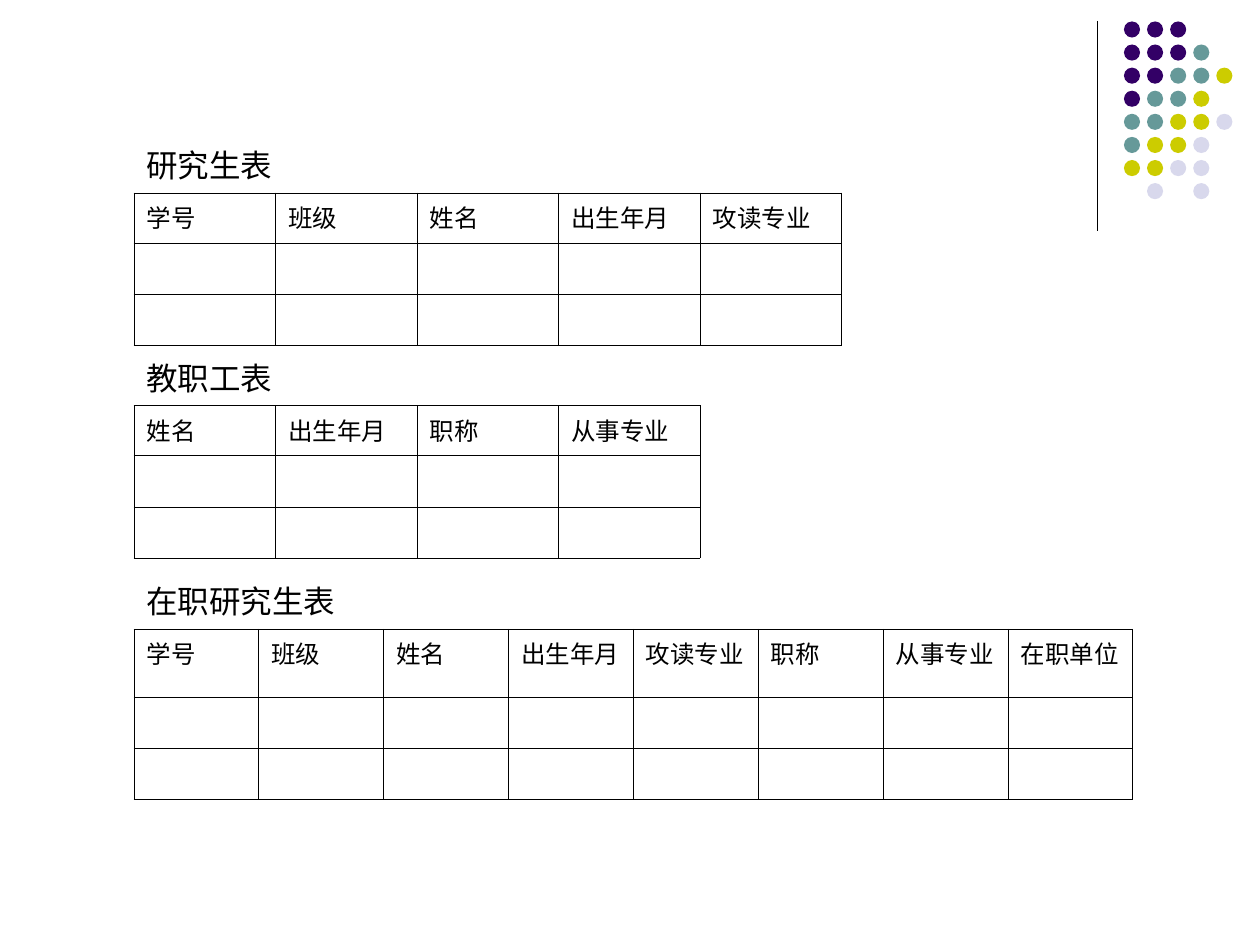
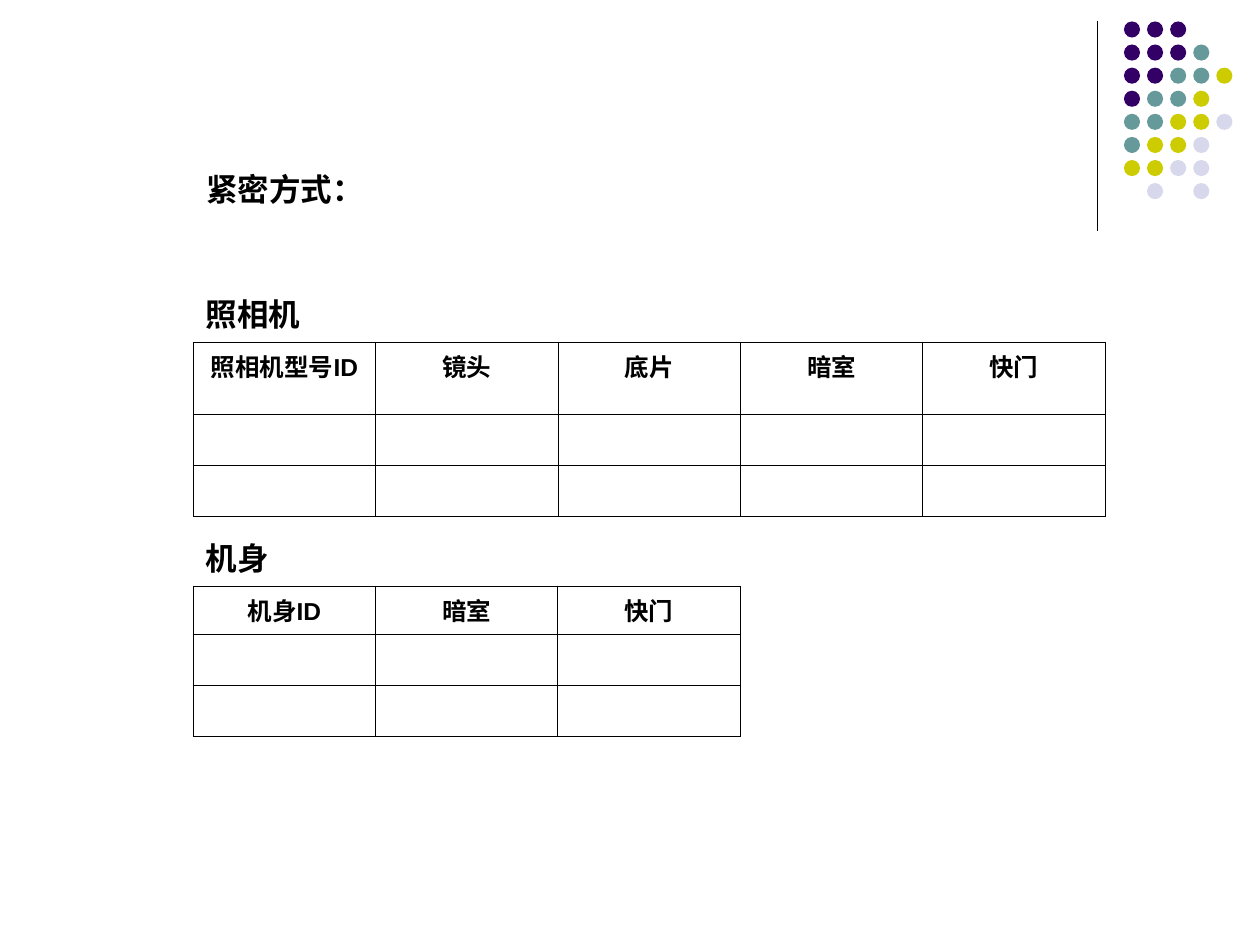
from dataclasses import dataclass

from lxml.etree import SubElement
from pptx import Presentation
from pptx.dml.color import RGBColor
from pptx.enum.shapes import MSO_CONNECTOR, MSO_SHAPE
from pptx.enum.text import MSO_AUTO_SIZE, PP_ALIGN
from pptx.oxml.ns import qn
from pptx.slide import Slide
from pptx.table import _Cell
from pptx.text.text import _Paragraph
from pptx.util import Pt

COLORS = {
    "ink": "000000",
    "paper": "FFFFFF",
    "P": "330066",
    "T": "669999",
    "Y": "CCCC00",
    "L": "D8D8EC",
}
FONT = "Arial"
CAPTION_SIZE, HEADER_SIZE = 18, 14
ROW_HEIGHT = 28.8
BORDER_WIDTH = 0.45

# Each letter is a dot colour; a full stop is a gap.
DOT_ROWS = ["PPP", "PPPT", "PPTTY", "PTTY", "TTYYL", "TYYL", "YYLL", ".L.L"]
DOT_LEFT, DOT_TOP, DOT_PITCH, DOT_SIZE = 642.24, 12.24, 13.2, 9.2


@dataclass(frozen=True)
class RelationTable:
    caption: str
    headers: list[str]
    left: float
    top: float
    column_width: float
    header_height: float = ROW_HEIGHT
    caption_span: int = 1
    emphasized: bool = False


STUDENT_TABLES = [
    RelationTable("研究生表", ["学号", "班级", "姓名", "出生年月", "攻读专业"],
                  76.5, 77, 80.9, caption_span=5),
    RelationTable("教职工表", ["姓名", "出生年月", "职称", "从事专业"],
                  76.5, 198.4, 80.9, caption_span=4),
    RelationTable("在职研究生表",
                  ["学号", "班级", "姓名", "出生年月", "攻读专业", "职称", "从事专业", "在职单位"],
                  76.5, 326.2, 71.35, header_height=38.8, caption_span=5),
]
CAMERA_TABLES = [
    RelationTable("照相机", ["照相机型号ID", "镜头", "底片", "暗室", "快门"],
                  110.4, 162.2, 104.25, header_height=41.1, caption_span=5, emphasized=True),
    RelationTable("机身", ["机身ID", "暗室", "快门"],
                  110.4, 301.6, 104.2, header_height=24.5, emphasized=True),
]


def color(name: str) -> RGBColor:
    return RGBColor.from_string(COLORS[name])


def add_text(paragraph: _Paragraph, text: str, size: float, bold: bool) -> None:
    run = paragraph.add_run()
    run.text = text
    run.font.name = FONT
    run.font.size = Pt(size)
    run.font.bold = bold
    run.font.color.rgb = color("ink")


def set_borders(cell: _Cell, visible_sides: str) -> None:
    """Line the sides named by letters of LRTB and clear the others."""
    properties = cell._tc.get_or_add_tcPr()
    for side in "LRTB":
        line = SubElement(properties, qn(f"a:ln{side}"), w=str(int(Pt(BORDER_WIDTH))))
        if side in visible_sides:
            fill = SubElement(line, qn("a:solidFill"))
            SubElement(fill, qn("a:srgbClr"), val=COLORS["ink"])
        else:
            SubElement(line, qn("a:noFill"))


def add_relation(slide: Slide, relation: RelationTable) -> None:
    """Draw a captioned table with a header row and two empty rows."""
    heights = [ROW_HEIGHT, relation.header_height, ROW_HEIGHT, ROW_HEIGHT]
    count = len(relation.headers)
    frame = slide.shapes.add_table(
        len(heights), count, Pt(relation.left), Pt(relation.top),
        Pt(relation.column_width * count), Pt(sum(heights)))
    table = frame.table
    table.first_row = table.horz_banding = False
    for column in table.columns:
        column.width = Pt(relation.column_width)
    for index, height in enumerate(heights):
        table.rows[index].height = Pt(height)
        for cell in table.rows[index].cells:
            set_borders(cell, "LRTB" if index else "B")
            cell.fill.background()

    if relation.caption_span > 1:
        table.cell(0, 0).merge(table.cell(0, relation.caption_span - 1))
    caption = table.cell(0, 0).text_frame.paragraphs[0]
    add_text(caption, relation.caption, CAPTION_SIZE, relation.emphasized)
    for index, header in enumerate(relation.headers):
        paragraph = table.cell(1, index).text_frame.paragraphs[0]
        paragraph.alignment = PP_ALIGN.CENTER if relation.emphasized else PP_ALIGN.LEFT
        add_text(paragraph, header, HEADER_SIZE, relation.emphasized)


def add_corner_ornament(slide: Slide) -> None:
    rule = slide.shapes.add_connector(
        MSO_CONNECTOR.STRAIGHT, Pt(627), Pt(12), Pt(627), Pt(132))
    rule.line.color.rgb = color("ink")
    rule.line.width = Pt(0.75)
    SubElement(rule._element.spPr, qn("a:effectLst"))

    dots = slide.shapes.add_group_shape()
    for row, letters in enumerate(DOT_ROWS):
        for column, letter in enumerate(letters):
            if letter == ".":
                continue
            dot = dots.shapes.add_shape(
                MSO_SHAPE.OVAL, Pt(DOT_LEFT + column * DOT_PITCH),
                Pt(DOT_TOP + row * DOT_PITCH), Pt(DOT_SIZE), Pt(DOT_SIZE))
            dot.shadow.inherit = False
            dot.fill.solid()
            dot.fill.fore_color.rgb = color(letter)
            dot.line.fill.background()


def add_relation_slide(presentation: Presentation, relations: list[RelationTable]) -> Slide:
    slide = presentation.slides.add_slide(presentation.slide_layouts[6])
    slide.background.fill.solid()
    slide.background.fill.fore_color.rgb = color("paper")
    add_corner_ornament(slide)
    for relation in relations:
        add_relation(slide, relation)
    return slide


def add_heading(slide: Slide, text: str) -> None:
    box = slide.shapes.add_textbox(Pt(110.9), Pt(93.6), Pt(104.4), Pt(28.8))
    box.text_frame.word_wrap = False
    box.text_frame.auto_size = MSO_AUTO_SIZE.SHAPE_TO_FIT_TEXT
    add_text(box.text_frame.paragraphs[0], text, CAPTION_SIZE, bold=True)


def main() -> None:
    presentation = Presentation()
    presentation.slide_width, presentation.slide_height = Pt(720), Pt(540)
    add_relation_slide(presentation, STUDENT_TABLES)
    camera_slide = add_relation_slide(presentation, CAMERA_TABLES)
    add_heading(camera_slide, "紧密方式：")
    presentation.save("out.pptx")


if __name__ == "__main__":
    main()
